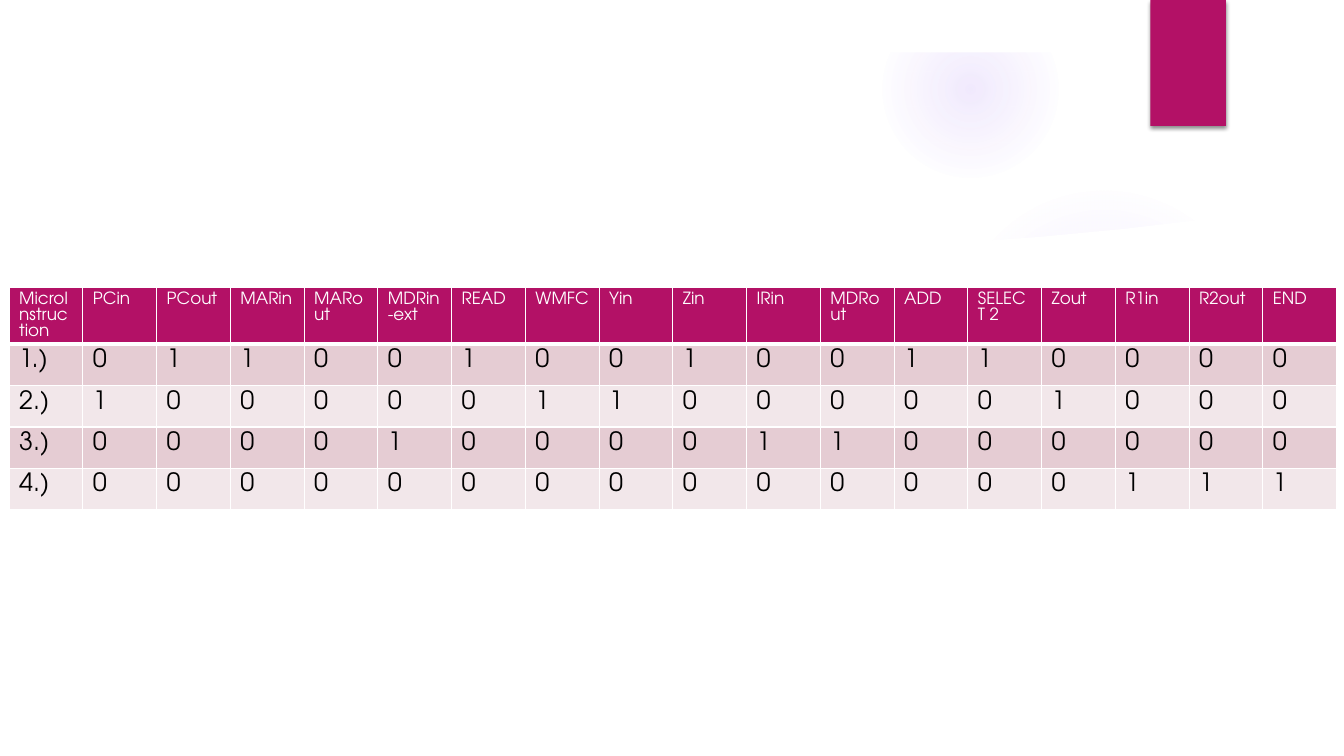
from lxml import etree
from pptx import Presentation
from pptx.dml.color import RGBColor
from pptx.enum.shapes import MSO_SHAPE as Preset
from pptx.oxml import parse_xml
from pptx.oxml.ns import nsdecls, qn
from pptx.util import Inches, Pt

SIGNALS = ["PCin", "PCout", "MARin", "MARout", "MDRin-ext", "READ", "WMFC", "Yin", "Zin",
           "IRin", "MDRout", "ADD", "SELECT 2", "Zout", "R1in", "R2out", "END"]
HEADER = ["MicroInstruction", *SIGNALS]
CONTROL_WORDS = [
    ("1.)", "01100100100110000"),
    ("2.)", "10000011000001000"),
    ("3.)", "00001000011000000"),
    ("4.)", "00000000000000111"),
]
ROWS = [HEADER] + [[step, *bits] for step, bits in CONTROL_WORDS]

THEME = {
    "font": "TeX Gyre Adventor",
    "accent": "B31166", "white": "FFFFFF", "black": "000000", "glow": "9B6BF2",
    "bands": ("F2E7EA", "E5CCD3"),
    "header_size": 12, "body_size": 18,
    "rule": 1, "header_rule": 3,
}

# left, top, diameter, then (position %, opacity %) stops
GLOWS = [
    (9.41, 1.83, 3.08, ((0, 7), (36, 6), (69, 0))),
    (8.75, 0.01, 1.75, ((0, 14), (36, 7), (73, 0))),
]
PANEL = [(0.5, 2.04), (0.5, 7), (12.84, 7), (12.84, 2.04), (12, 2.17), (11.16, 2.27),
         (10.32, 2.35), (9.49, 2.41), (8.4, 2.46), (7.08, 2.48), (5.83, 2.46),
         (4.44, 2.41), (3.21, 2.33), (2.16, 2.24), (1.35, 2.15), (0.79, 2.08)]
TOP_MARGIN = (0, 0, 13.33, 0.52)
RIBBON = (11.41, 0, 0.75, 1.25)
TABLE_LEFT, TABLE_TOP, TABLE_WIDTH, ROW_HEIGHT = 0.09, 2.85, 13.17, 0.41


def paint(shape, color):
    shape.shadow.inherit = False
    shape.line.fill.background()
    shape.fill.solid()
    shape.fill.fore_color.rgb = RGBColor.from_string(color)
    return shape


def add_block(shapes, preset, box, color):
    return paint(shapes.add_shape(preset, *map(Inches, box)), color)


def add_glow(shapes, left, top, diameter, stops):
    glow = add_block(shapes, Preset.OVAL, (left, top, diameter, diameter), THEME["glow"])
    stop_xml = "".join(
        f'<a:gs pos="{position * 1000}"><a:srgbClr val="{THEME["glow"]}">'
        f'<a:alpha val="{opacity * 1000}"/></a:srgbClr></a:gs>'
        for position, opacity in stops)
    gradient = parse_xml(
        f'<a:gradFill {nsdecls("a")} rotWithShape="1"><a:gsLst>{stop_xml}</a:gsLst>'
        '<a:path path="circle"><a:fillToRect l="50000" t="50000" r="50000" b="50000"/>'
        '</a:path></a:gradFill>')
    properties = glow._element.spPr
    properties.replace(properties.find(qn("a:solidFill")), gradient)


def add_panel(shapes):
    start, *rest = [(Inches(x), Inches(y)) for x, y in PANEL]
    outline = shapes.build_freeform(*start)
    outline.add_line_segments(rest, close=True)
    paint(outline.convert_to_shape(), THEME["white"])


def add_ribbon(shapes):
    ribbon = add_block(shapes, Preset.RECTANGLE, RIBBON, THEME["accent"])
    effects = ribbon._element.spPr.find(qn("a:effectLst"))
    effects.append(parse_xml(
        f'<a:outerShdw {nsdecls("a")} blurRad="{Pt(3)}" dist="{Pt(2)}" dir="5400000" '
        f'rotWithShape="0"><a:srgbClr val="{THEME["black"]}"><a:alpha val="45000"/>'
        '</a:srgbClr></a:outerShdw>'))


def set_borders(cell, widths):
    properties = cell._tc.get_or_add_tcPr()
    for side, width in widths.items():
        border = etree.SubElement(properties, qn(f"a:ln{side}"), w=str(Pt(width)))
        fill = etree.SubElement(border, qn("a:solidFill"))
        etree.SubElement(fill, qn("a:srgbClr"), val=THEME["white"])


def format_cell(cell, text, row):
    is_header = row == 0
    rule, header_rule = THEME["rule"], THEME["header_rule"]
    set_borders(cell, {"L": rule, "R": rule,
                       "T": header_rule if row == 1 else rule,
                       "B": header_rule if is_header else rule})
    cell.fill.solid()
    fill = THEME["accent"] if is_header else THEME["bands"][row % 2]
    cell.fill.fore_color.rgb = RGBColor.from_string(fill)
    cell.text = text
    font = cell.text_frame.paragraphs[0].runs[0].font
    size = THEME["header_size" if is_header else "body_size"]
    for attribute, value in {"name": THEME["font"], "size": Pt(size), "bold": False}.items():
        setattr(font, attribute, value)
    font.color.rgb = RGBColor.from_string(THEME["white" if is_header else "black"])


def add_control_table(shapes):
    box = (TABLE_LEFT, TABLE_TOP, TABLE_WIDTH, ROW_HEIGHT * len(ROWS))
    control = shapes.add_table(len(ROWS), len(HEADER), *map(Inches, box)).table
    for row, texts in enumerate(ROWS):
        for column, text in enumerate(texts):
            format_cell(control.cell(row, column), text, row)


def main():
    deck = Presentation()
    deck.slide_width, deck.slide_height = Inches(13.33), Inches(7.5)
    shapes = deck.slides.add_slide(deck.slide_layouts[6]).shapes
    for glow in GLOWS:
        add_glow(shapes, *glow)
    add_panel(shapes)
    add_block(shapes, Preset.RECTANGLE, TOP_MARGIN, THEME["white"])
    add_ribbon(shapes)
    add_control_table(shapes)
    deck.save("out.pptx")


if __name__ == "__main__":
    main()
